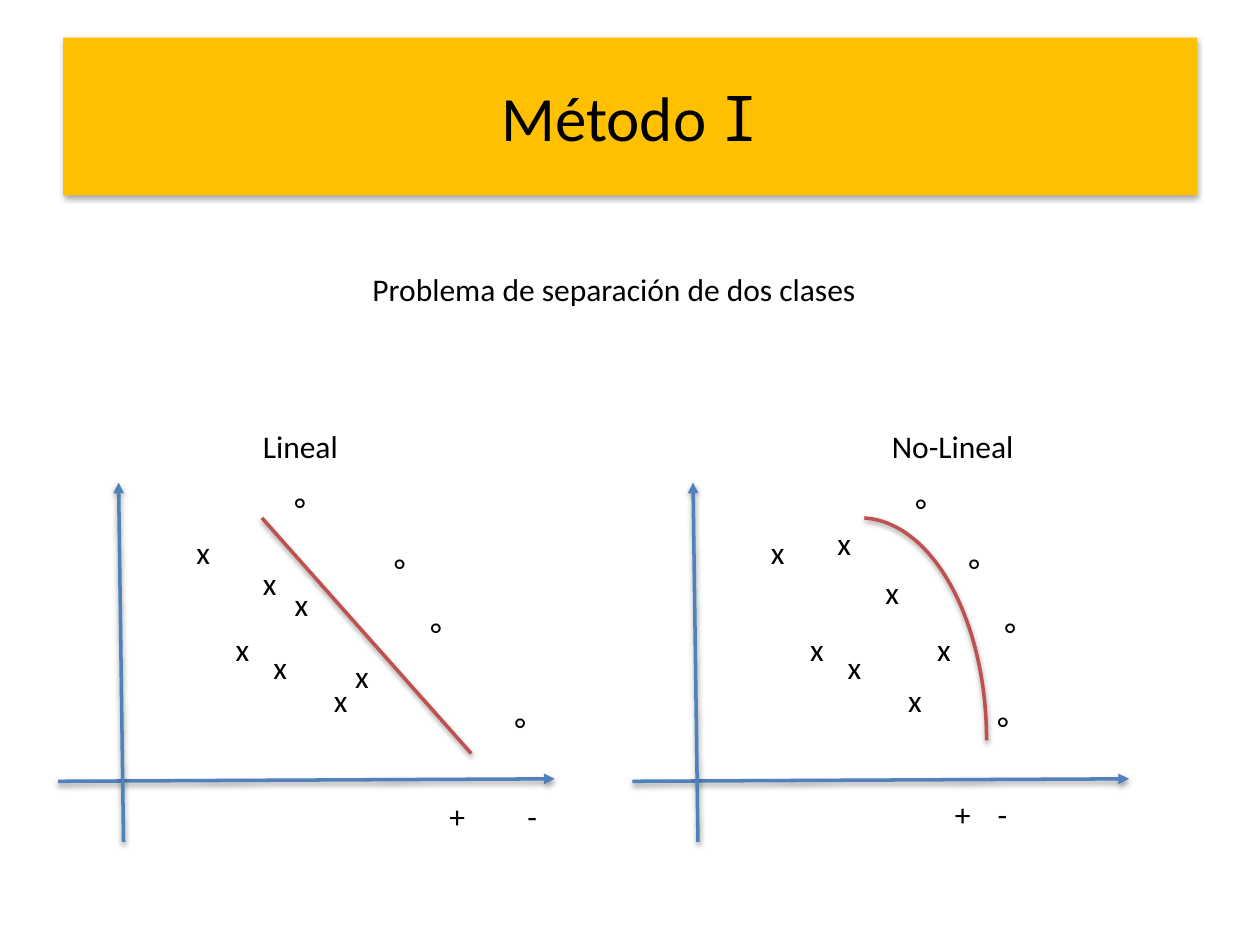
from lxml.etree import SubElement as Sub
from pptx import Presentation
from pptx.dml.color import RGBColor as Rgb
from pptx.enum.shapes import MSO_CONNECTOR as Link, MSO_SHAPE as Kind
from pptx.enum.text import MSO_ANCHOR as Anchor, PP_ALIGN as Align
from pptx.oxml.ns import qn
from pptx.util import Cm, Pt

COLORS = {"text": "000000", "band": "FFC000", "axis": "4F81BD", "edge": "C0504D"}


def tint(name):
    return Rgb.from_string(COLORS[name])


def write(para, text, size=18, font="Calibri", color="text"):
    run = para.add_run()
    run.text = text
    run.font.size = Pt(size)
    run.font.name = font
    run.font.color.rgb = tint(color)


class Page:
    def __init__(self, deck):
        self.slide = deck.slides.add_slide(deck.slide_layouts[5])
        self.shapes = self.slide.shapes

    def shade(self, shape, alpha=38, dist=1.6):
        fx = Sub(shape._element.spPr, qn("a:effectLst"))
        cast = Sub(fx, qn("a:outerShdw"), blurRad=str(Pt(3.1)),
                   dist=str(Pt(dist)), dir="5400000", rotWithShape="0")
        tone = Sub(cast, qn("a:srgbClr"), val=COLORS["text"])
        Sub(tone, qn("a:alpha"), val=str(alpha * 1000))

    def title(self, parts, x, y, w, h):
        box = self.shapes.title
        box.left, box.top, box.width, box.height = map(Cm, (x, y, w, h))
        box.fill.solid()
        box.fill.fore_color.rgb = tint("band")
        self.shade(box, alpha=35, dist=1.8)
        box.text_frame.vertical_anchor = Anchor.MIDDLE
        para = box.text_frame.paragraphs[0]
        para.alignment = Align.CENTER
        for text, font in parts:
            write(para, text, size=36, font=font)

    def label(self, text, x, y, w, tab=None):
        box = self.shapes.add_textbox(Cm(x), Cm(y), Cm(w), Cm(1.02))
        box.text_frame.word_wrap = tab is not None
        para = box.text_frame.paragraphs[0]
        if tab:
            stops = Sub(para._p.get_or_add_pPr(), qn("a:tabLst"))
            Sub(stops, qn("a:tab"), pos=str(Cm(tab)), algn="l")
        write(para, text)

    def marks(self, sign, spots, w, shift):
        for x, y in spots:
            self.label(sign, x + shift, y, w)

    def stroke(self, shape, color):
        shape.line.color.rgb = tint(color)
        shape.line.width = Pt(2)

    def line(self, start, end, color, shift=0, arrow=False):
        (x1, y1), (x2, y2) = start, end
        line = self.shapes.add_connector(
            Link.STRAIGHT, Cm(x1 + shift), Cm(y1), Cm(x2 + shift), Cm(y2))
        self.stroke(line, color)
        if arrow:
            Sub(line.line._get_or_add_ln(), qn("a:tailEnd"), type="triangle")
        self.shade(line)

    def arc(self, x, y, w, h, color):
        arc = self.shapes.add_shape(Kind.ARC, Cm(x), Cm(y), Cm(w), Cm(h))
        arc.adjustments[0], arc.adjustments[1] = 162.69, 0
        arc.fill.background()
        self.stroke(arc, color)
        self.shade(arc)

    def plot(self, shift, crosses, rings):
        self.line((1.17, 15.75), (11.18, 15.7), "axis", shift, arrow=True)
        self.line((2.49, 16.97), (2.39, 9.73), "axis", shift, arrow=True)
        self.marks("x", crosses, 0.79, shift)
        self.marks("°", rings, 0.74, shift)


def main():
    deck = Presentation()
    deck.slide_width, deck.slide_height = Cm(25.4), Cm(19.05)
    page = Page(deck)

    # Heading
    page.title([("Método ", "Calibri"), ("I", "Noto Sans Mono")],
               1.27, 0.76, 22.86, 3.18)
    page.label("Problema de separación de dos clases", 7.26, 5.31, 10.36)

    # Points that both plots share
    crosses = [(3.71, 10.62), (5.26, 12.93), (4.5, 12.57), (6.48, 13.6)]
    rings = [(7.7, 10.97), (8.43, 12.26)]

    # Linear plot
    page.label("Lineal", 5.05, 8.48, 2.06)
    page.plot(0, crosses + [(5.69, 11.66), (5.05, 11.25), (6.91, 13.13)],
              rings + [(5.69, 9.73), (10.13, 14.17)])
    page.line((5.28, 10.44), (9.5, 15.19), "edge")
    page.label("+\t-", 8.81, 15.95, 2.36, tab=1.57)

    # Non-linear plot
    page.label("No-Lineal", 17.73, 8.48, 3)
    page.plot(11.58, crosses + [(6.02, 11.43), (5.05, 10.44), (7.06, 12.57)],
              rings + [(6.63, 9.75), (8.28, 14.15)])
    page.arc(14.78, 10.44, 5.11, 8.97, "edge")
    page.label("+\t-", 19, 15.9, 1.63, tab=0.86)

    deck.save("out.pptx")


if __name__ == "__main__":
    main()
